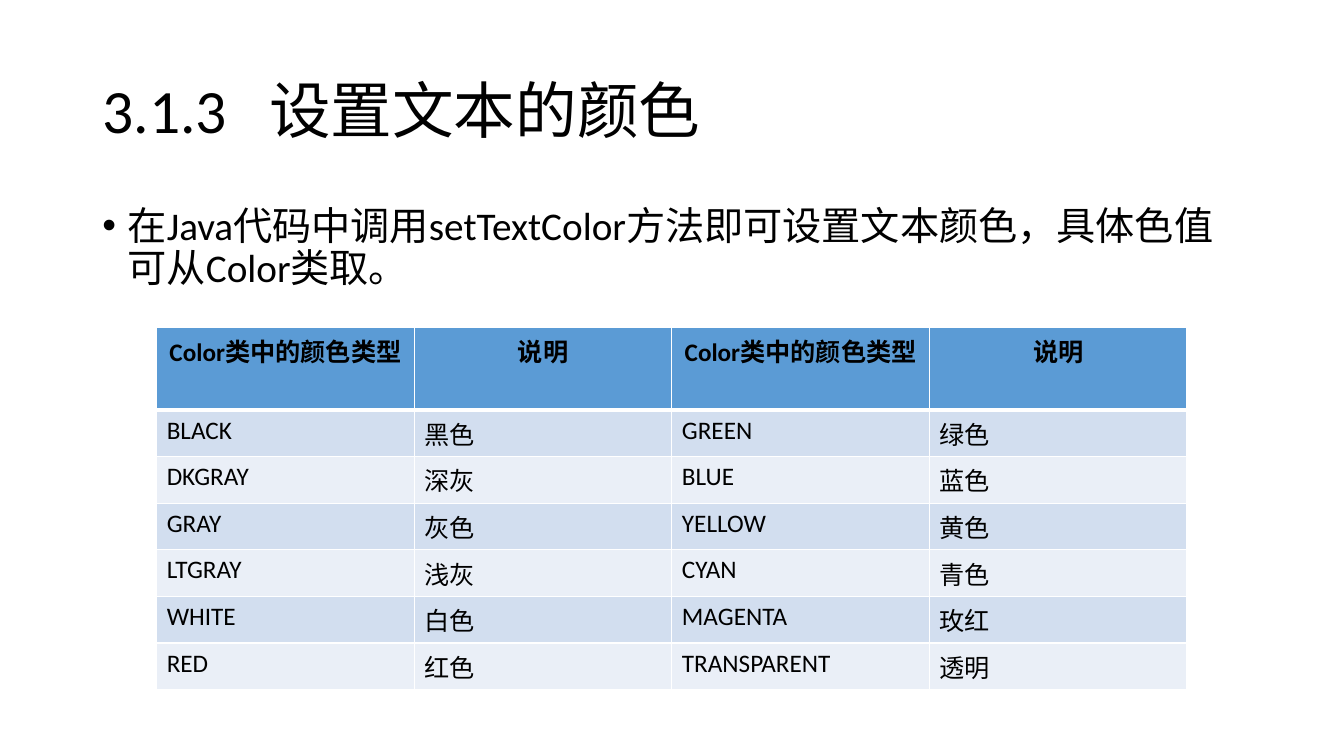
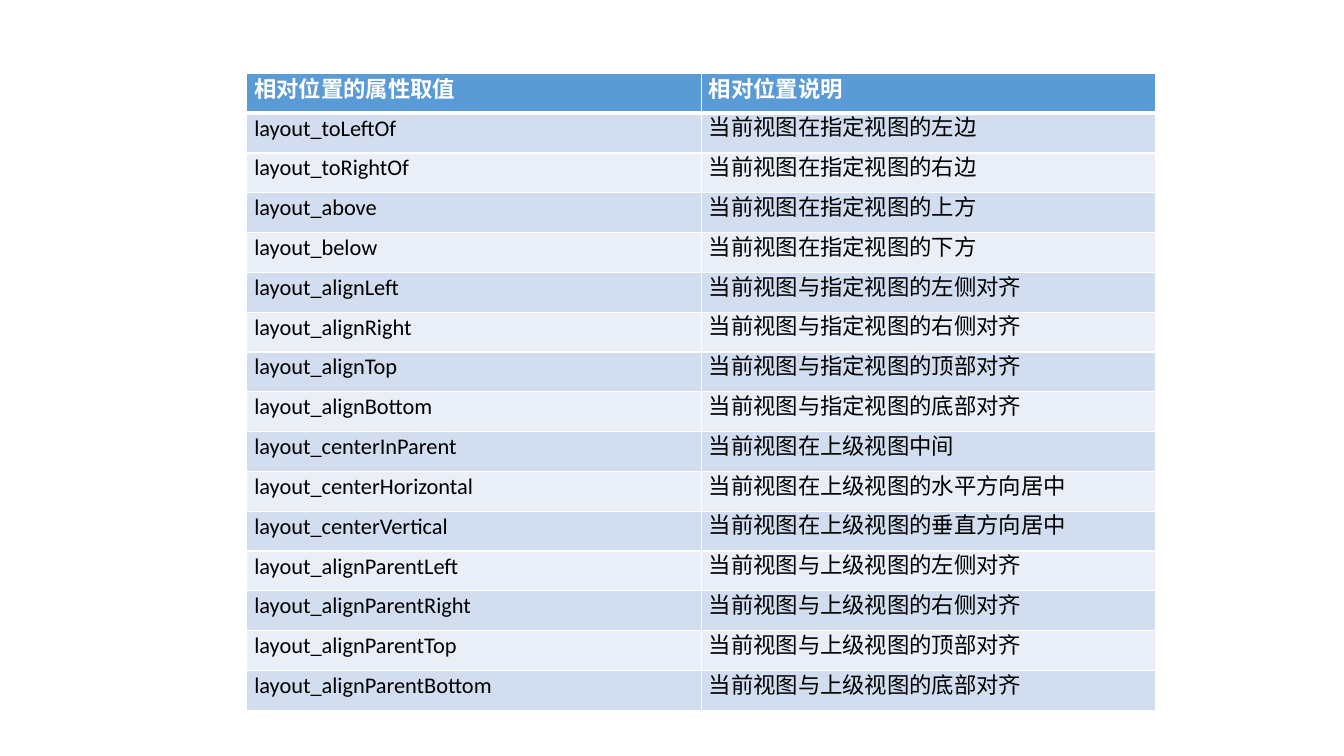
from lxml import etree
from pptx import Presentation
from pptx.dml.color import RGBColor
from pptx.enum import lang, text
from pptx.oxml import ns
from pptx.util import Pt

BLACK = RGBColor(0x00, 0x00, 0x00)
WHITE = RGBColor(0xFF, 0xFF, 0xFF)
HEADER = RGBColor(0x5B, 0x9B, 0xD5)
BANDS = (RGBColor(0xD2, 0xDE, 0xEF), RGBColor(0xEA, 0xEF, 0xF7))
FONT = "Calibri"

TITLE_BODY, BLANK = 1, 6  # layout numbers

COLOR_ROWS = [
    ("Color类中的颜色类型", "说明", "Color类中的颜色类型", "说明"),
    ("BLACK", "黑色", "GREEN", "绿色"),
    ("DKGRAY", "深灰", "BLUE", "蓝色"),
    ("GRAY", "灰色", "YELLOW", "黄色"),
    ("LTGRAY", "浅灰", "CYAN", "青色"),
    ("WHITE", "白色", "MAGENTA", "玫红"),
    ("RED", "红色", "TRANSPARENT", "透明"),
]

LAYOUT_ROWS = [
    ("相对位置的属性取值", "相对位置说明"),
    ("layout_toLeftOf", "当前视图在指定视图的左边"),
    ("layout_toRightOf", "当前视图在指定视图的右边"),
    ("layout_above", "当前视图在指定视图的上方"),
    ("layout_below", "当前视图在指定视图的下方"),
    ("layout_alignLeft", "当前视图与指定视图的左侧对齐"),
    ("layout_alignRight", "当前视图与指定视图的右侧对齐"),
    ("layout_alignTop", "当前视图与指定视图的顶部对齐"),
    ("layout_alignBottom", "当前视图与指定视图的底部对齐"),
    ("layout_centerInParent", "当前视图在上级视图中间"),
    ("layout_centerHorizontal", "当前视图在上级视图的水平方向居中"),
    ("layout_centerVertical", "当前视图在上级视图的垂直方向居中"),
    ("layout_alignParentLeft", "当前视图与上级视图的左侧对齐"),
    ("layout_alignParentRight", "当前视图与上级视图的右侧对齐"),
    ("layout_alignParentTop", "当前视图与上级视图的顶部对齐"),
    ("layout_alignParentBottom", "当前视图与上级视图的底部对齐"),
]


def sub(parent, tag, **attrs):
    return etree.SubElement(parent, ns.qn(tag), {k: str(v) for k, v in attrs.items()})


def border(cell, top, bottom):
    """Draw white cell edges; top and bottom are widths in points."""
    tcPr = cell._tc.get_or_add_tcPr()
    for side, width in (("L", 1), ("R", 1), ("T", top), ("B", bottom)):
        ln = sub(tcPr, f"a:ln{side}", w=int(Pt(width)))
        sub(sub(ln, "a:solidFill"), "a:srgbClr", val=WHITE)


class Deck:
    def __init__(self):
        self.prs = Presentation()
        self.prs.slide_width, self.prs.slide_height = Pt(960), Pt(540)
        self.s = None

    def slide(self, layout):
        self.s = self.prs.slides.add_slide(self.prs.slide_layouts[layout])

    def run(self, p, words, size, color=BLACK, bold=False):
        r = p.add_run()
        r.text = words
        f = r.font
        f.name, f.size, f.bold = FONT, Pt(size), bold
        f.color.rgb = color
        f.language_id = lang.MSO_LANGUAGE_ID.SIMPLIFIED_CHINESE

    def place(self, sp, top, height, anchor):
        """Move a placeholder and return its first paragraph, set flush left."""
        sp.left, sp.top, sp.width, sp.height = Pt(66), Pt(top), Pt(828), Pt(height)
        tf = sp.text_frame
        tf.word_wrap, tf.auto_size = True, text.MSO_AUTO_SIZE.NONE
        tf.vertical_anchor = anchor
        p = tf.paragraphs[0]
        p.alignment, p.line_spacing = text.PP_ALIGN.LEFT, 0.9
        return p

    def title(self, number, words):
        p = self.place(self.s.shapes.title, 28.75, 104.4, text.MSO_ANCHOR.MIDDLE)
        tabs = sub(p._p.get_or_add_pPr(), "a:tabLst")
        sub(tabs, "a:tab", pos=int(Pt(119)), algn="l")
        self.run(p, f"{number}\t{words}", 44)

    def bullet(self, words):
        sp = self.s.placeholders[1]
        p = self.place(sp, 143.75, 342.6, text.MSO_ANCHOR.TOP)
        p.space_before = Pt(10)
        pPr = p._p.get_or_add_pPr()
        pPr.set("marL", str(int(Pt(18))))
        pPr.set("indent", str(int(Pt(-18))))
        sub(pPr, "a:buFont", typeface="Arial")
        sub(pPr, "a:buChar", char="•")
        self.run(p, words, 28)

    def table(self, rows, left, top, col_width, row_height, size, head_color,
              head_align, spacing=(None, None), tight=False):
        """Add a banded table; spacing is the header and body line height,
        and tight cells have slim margins and centred text."""
        n, m = len(rows), len(rows[0])
        t = self.s.shapes.add_table(n, m, Pt(left), Pt(top), Pt(col_width * m),
                                    Pt(row_height * n)).table
        t.horz_banding = False
        for col in t.columns:
            col.width = Pt(col_width)
        for i, row in enumerate(rows):
            t.rows[i].height = Pt(row_height)
            head = i == 0
            for j, words in enumerate(row):
                cell = t.cell(i, j)
                border(cell, 3 if i == 1 else 1, 3 if head else 1)
                cell.fill.solid()
                cell.fill.fore_color.rgb = HEADER if head else BANDS[(i - 1) % 2]
                if tight:
                    cell.margin_left = cell.margin_right = Pt(5.4)
                    cell.margin_top = cell.margin_bottom = Pt(0)
                    cell.vertical_anchor = text.MSO_ANCHOR.MIDDLE
                p = cell.text_frame.paragraphs[0]
                p.alignment = head_align if head else text.PP_ALIGN.LEFT
                line = spacing[0 if head else 1]
                if line:
                    p.line_spacing = Pt(line)
                self.run(p, words, size, head_color if head else BLACK, head)


def main():
    d = Deck()

    d.slide(TITLE_BODY)
    d.title("3.1.3", "设置文本的颜色")
    d.bullet("在Java代码中调用setTextColor方法即可设置文本颜色，具体色值可从Color类取。")
    d.table(COLOR_ROWS, 111.9, 233.6, 184, 29.2, 18, BLACK, text.PP_ALIGN.CENTER)

    d.slide(BLANK)
    d.table(LAYOUT_ROWS, 176.3, 52.4, 324.6, 28.45, 16, WHITE,
            text.PP_ALIGN.JUSTIFY, spacing=(15.6, 13), tight=True)

    d.prs.save("out.pptx")


if __name__ == "__main__":
    main()
